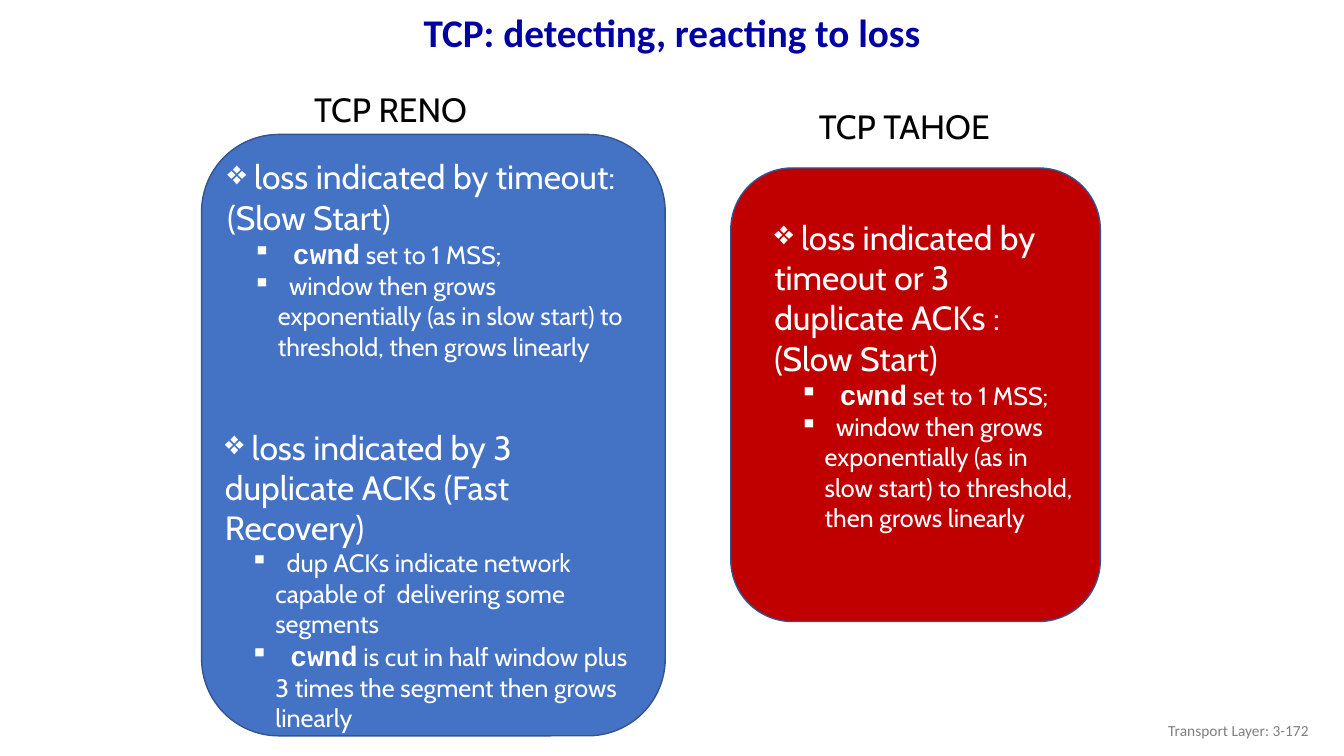
from dataclasses import dataclass
from typing import NamedTuple

from lxml.etree import SubElement
from pptx import Presentation
from pptx.dml.color import RGBColor
from pptx.enum.shapes import MSO_SHAPE
from pptx.enum.text import MSO_ANCHOR, MSO_AUTO_SIZE as AutoSize, PP_ALIGN
from pptx.oxml.ns import qn
from pptx.util import Emu, Inches, Pt

COLUMNS, ROWS = 160, 90
SLIDE_W, SLIDE_H = Inches(13 + 1 / 3), Inches(7.5)


@dataclass(frozen=True)
class Theme:
    title: RGBColor = RGBColor(0x00, 0x00, 0xA3)
    label: RGBColor = RGBColor(0x00, 0x00, 0x00)
    body: RGBColor = RGBColor(0xFF, 0xFF, 0xFF)
    footer: RGBColor = RGBColor(0x80, 0x80, 0x80)
    reno: RGBColor = RGBColor(0x44, 0x72, 0xC4)
    tahoe: RGBColor = RGBColor(0xC0, 0x00, 0x00)
    border: RGBColor = RGBColor(0x32, 0x54, 0x91)
    title_pt: int = 28
    head_pt: int = 24
    code_pt: int = 20
    detail_pt: int = 18
    footer_pt: int = 11
    heading_font: str = "Calibri"
    body_font: str = "Cabin"
    code_font: str = "Courier New"


THEME = Theme()


class Area(NamedTuple):
    """Place on the grid, in columns and rows."""
    column: float
    row: float
    width: float
    height: float

    def emu(self) -> tuple[Emu, Emu, Emu, Emu]:
        across, down = SLIDE_W / COLUMNS, SLIDE_H / ROWS
        return (Emu(round(self.column * across)), Emu(round(self.row * down)),
                Emu(round(self.width * across)), Emu(round(self.height * down)))


class Reaction(NamedTuple):
    area: Area
    cause: str
    details: tuple[str, ...]


class Variant(NamedTuple):
    name: str
    name_area: Area
    panel: Area
    color: RGBColor
    reactions: tuple[Reaction, ...]


CODE_WORD = "cwnd"
SLOW_START = (
    " cwnd set to 1 MSS;",
    "  window then grows exponentially (as in slow start) to threshold, then grows linearly",
)
FAST_RECOVERY = (
    "  dup ACKs indicate network capable of  delivering some segments",
    " cwnd is cut in half window plus 3 times the segment then grows linearly",
)
VARIANTS = (
    Variant("TCP TAHOE ", Area(96, 12, 24.2, 6), Area(87, 20, 44, 54), THEME.tahoe, (
        Reaction(Area(91, 25.2, 38, 46.4),
                 " loss indicated by timeout or 3 duplicate ACKs : (Slow Start)", SLOW_START),
    )),
    Variant("TCP RENO", Area(36, 10, 21, 6), Area(24, 16, 55.2, 71.6), THEME.reno, (
        Reaction(Area(25.9, 18, 50.2, 29.5),
                 " loss indicated by timeout: (Slow Start)", SLOW_START),
        Reaction(Area(25.6, 50.2, 50.9, 41.6),
                 " loss indicated by 3 duplicate ACKs (Fast Recovery)", FAST_RECOVERY),
    )),
)


def style(font, face: str, size: int, color: RGBColor, bold: bool = False) -> None:
    font.name, font.size, font.bold = face, Pt(size), bold
    font.color.rgb = color


def set_bullet(paragraph, symbol: str, margin: float = 0, hanging: float = 0) -> None:
    properties = paragraph._p.get_or_add_pPr()
    properties.set("marL", str(Inches(margin)))
    properties.set("indent", str(-Inches(hanging)))
    SubElement(properties, qn("a:buChar")).set("char", symbol)


def add_line(slide, area: Area, text: str, face: str, size: int, color: RGBColor,
             align: PP_ALIGN):
    """Add a one-line text box and return its frame."""
    frame = slide.shapes.add_textbox(*area.emu()).text_frame
    frame.text = text
    paragraph = frame.paragraphs[0]
    paragraph.alignment = align
    style(paragraph.runs[0].font, face, size, color)
    return frame


def add_panel(slide, variant: Variant) -> None:
    panel = slide.shapes.add_shape(MSO_SHAPE.ROUNDED_RECTANGLE, *variant.panel.emu())
    panel.shadow.inherit = False
    panel.fill.solid()
    panel.fill.fore_color.rgb = variant.color
    panel.line.color.rgb = THEME.border
    panel.line.width = Pt(1)


def add_detail(frame, detail: str) -> None:
    """Add a second-level bullet, with the code word in the code font."""
    paragraph = frame.add_paragraph()
    paragraph.level = 1
    set_bullet(paragraph, "▪", margin=0.5, hanging=0.25)
    before, word, after = detail.partition(CODE_WORD)
    for part in filter(None, (before, word, after)):
        run = paragraph.add_run()
        run.text = part
        is_code = bool(word) and part != after
        style(run.font, THEME.code_font if is_code else THEME.body_font,
              THEME.code_pt if part == CODE_WORD else THEME.detail_pt,
              THEME.body, is_code)


def add_reaction(slide, reaction: Reaction) -> None:
    frame = slide.shapes.add_textbox(*reaction.area.emu()).text_frame
    frame.word_wrap = True
    frame.auto_size = AutoSize.SHAPE_TO_FIT_TEXT
    frame.text = reaction.cause
    cause = frame.paragraphs[0]
    set_bullet(cause, "❖")
    style(cause.runs[0].font, THEME.body_font, THEME.head_pt, THEME.body)
    for detail in reaction.details:
        add_detail(frame, detail)


def add_title(slide, text: str) -> None:
    title = slide.shapes.title
    title.left, title.top, title.width, title.height = Area(29, 0, 102, 8.4).emu()
    frame = title.text_frame
    frame.text = text
    frame.vertical_anchor = MSO_ANCHOR.MIDDLE
    heading = frame.paragraphs[0]
    heading.alignment = PP_ALIGN.CENTER
    heading.line_spacing = 0.9
    style(heading.runs[0].font, THEME.heading_font, THEME.title_pt, THEME.title, True)


def main() -> None:
    deck = Presentation()
    deck.slide_width, deck.slide_height = Emu(round(SLIDE_W)), SLIDE_H
    slide = deck.slides.add_slide(deck.slide_layouts.get_by_name("Title Only"))

    add_title(slide, "TCP: detecting, reacting to loss")
    for variant in VARIANTS:
        add_panel(slide, variant)
        for reaction in variant.reactions:
            add_reaction(slide, reaction)
        name = add_line(slide, variant.name_area, variant.name, THEME.body_font,
                        THEME.head_pt, THEME.label, PP_ALIGN.CENTER)
        name.word_wrap = False
        name.auto_size = AutoSize.SHAPE_TO_FIT_TEXT

    footer = add_line(slide, Area(121, 84.6, 36, 4.8), "Transport Layer: 3-172",
                      THEME.heading_font, THEME.footer_pt, THEME.footer, PP_ALIGN.RIGHT)
    footer.word_wrap = True
    footer.vertical_anchor = MSO_ANCHOR.MIDDLE
    deck.save("out.pptx")


if __name__ == "__main__":
    main()
